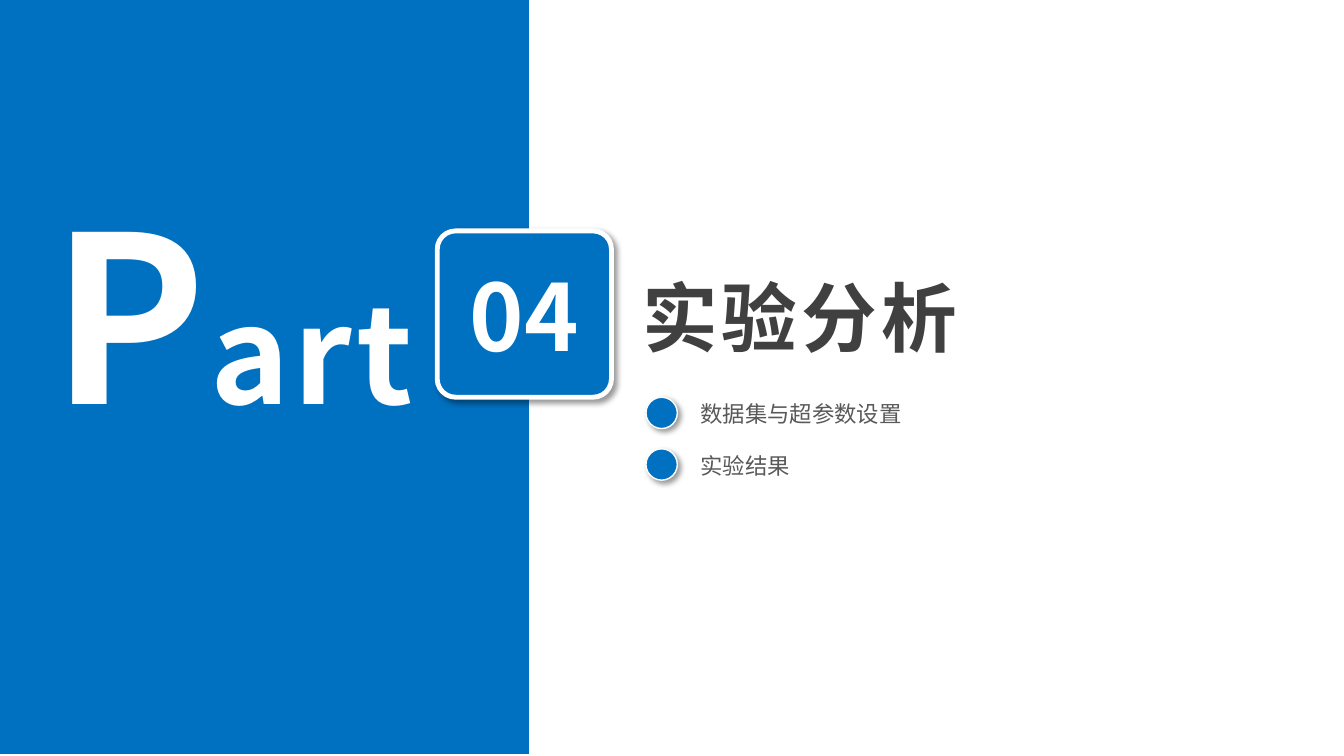
from lxml.etree import SubElement
from pptx import Presentation
from pptx.dml.color import RGBColor
from pptx.enum.shapes import MSO_SHAPE
from pptx.enum.text import MSO_ANCHOR, MSO_AUTO_SIZE, PP_ALIGN
from pptx.oxml import parse_xml
from pptx.oxml.ns import nsdecls, qn
from pptx.util import Cm, Pt

BLUE = RGBColor(0x00, 0x70, 0xC0)
WHITE = RGBColor(0xFF, 0xFF, 0xFF)
DARK = RGBColor(0x40, 0x40, 0x40)
GREY = RGBColor(0x59, 0x59, 0x59)
FONT = "Noto Sans CJK SC"

WORDMARK = {"bold": True, "color": WHITE, "spacing": 300}
NUMBER = {"size": Pt(66), "bold": True, "color": WHITE}
HEADING = {"size": Pt(54), "bold": True, "color": DARK, "spacing": 300}
TOPIC = {"size": Pt(16), "bold": False, "color": GREY}

FRAME = {
    "word_wrap": True,
    "auto_size": MSO_AUTO_SIZE.NONE,
    "vertical_anchor": MSO_ANCHOR.MIDDLE,
    "margin_top": 0,
    "margin_bottom": 0,
}


def set_attributes(target, values):
    for name, value in values.items():
        setattr(target, name, value)


def add_span(para, text, look):
    span = para.add_run()
    span.text = text
    values = dict(look, name=FONT)
    span.font.color.rgb = values.pop("color")
    spacing = values.pop("spacing", 0)
    set_attributes(span.font, values)
    properties = span.font._element
    properties.set("spc", str(spacing))
    SubElement(properties, qn("a:ea")).set("typeface", FONT)


def place(shape, left, top, width, height):
    set_attributes(shape, {"left": left, "top": top, "width": width, "height": height})


def add_blue_shape(page, kind, left, top, width, height, outline=None):
    shape = page.shapes.add_shape(kind, left, top, width, height)
    shape.fill.solid()
    shape.fill.fore_color.rgb = BLUE
    shape.shadow.inherit = False
    if outline is None:
        shape.line.fill.background()
        return shape
    shape.line.color.rgb = WHITE
    shape.line.width = outline
    effects = shape._element.spPr.find(qn("a:effectLst"))
    effects.append(parse_xml(
        f'<a:outerShdw {nsdecls("a")} blurRad="{Pt(4)}" dist="{Pt(3)}" '
        'dir="2700000" algn="tl" rotWithShape="0">'
        '<a:srgbClr val="000000"><a:alpha val="40000"/></a:srgbClr></a:outerShdw>'
    ))
    return shape


def add_panel(page, left, top, width, height):
    add_blue_shape(page, MSO_SHAPE.RECTANGLE, left, top, width, height)
    wordmark = page.shapes.add_textbox(left, top + Cm(4.17), Cm(11.7), Cm(7.34))
    set_attributes(wordmark.text_frame, FRAME)
    para = wordmark.text_frame.paragraphs[0]
    para.alignment = PP_ALIGN.CENTER
    for text, size in (("P", Pt(166)), ("art", Pt(96))):
        add_span(para, text, dict(WORDMARK, size=size))


def add_badge(page, left, top, width, height):
    badge = add_blue_shape(
        page, MSO_SHAPE.ROUNDED_RECTANGLE, left, top, width, height, Pt(3.5)
    )
    badge.adjustments[0] = 0.11
    set_attributes(badge.text_frame, dict(FRAME, margin_left=0, margin_right=0))
    para = badge.text_frame.paragraphs[0]
    para.alignment = PP_ALIGN.CENTER
    add_span(para, "04", NUMBER)


def add_heading(page, left, top, width, height):
    title = page.shapes.title
    place(title, left, top, width, height)
    set_attributes(title.text_frame, FRAME)
    para = title.text_frame.paragraphs[0]
    para.alignment = PP_ALIGN.LEFT
    add_span(para, "实验分析", HEADING)


def add_topics(page, topics, left, top, width, pitch):
    body = page.placeholders[1]
    indent, dot = Cm(1.12), Cm(0.79)
    place(body, left + indent, top, width - indent, pitch * len(topics))
    frame = body.text_frame
    set_attributes(frame, dict(FRAME, vertical_anchor=MSO_ANCHOR.TOP))
    for index, topic in enumerate(topics):
        para = frame.add_paragraph() if index else frame.paragraphs[0]
        properties = para._p.get_or_add_pPr()
        set_attributes(para, {
            "alignment": PP_ALIGN.LEFT,
            "line_spacing": Pt(pitch.pt),
            "space_before": Pt(0),
            "space_after": Pt(0),
        })
        properties.set("marL", "0")
        properties.set("indent", "0")
        SubElement(properties, qn("a:buNone"))
        add_span(para, topic, TOPIC)
        dot_top = top + Cm(0.54) + index * pitch
        add_blue_shape(page, MSO_SHAPE.OVAL, left, dot_top, dot, dot, Pt(1))


def build_section_page(deck):
    page = deck.slides.add_slide(deck.slide_layouts[1])
    add_panel(page, 0, 0, Cm(13.33), Cm(19))
    add_badge(page, Cm(11.02), Cm(5.82), Cm(4.39), Cm(4.19))
    add_heading(page, Cm(15.93), Cm(6.46), Cm(13.92), Cm(3))
    topics = ["数据集与超参数设置", "实验结果"]
    add_topics(page, topics, Cm(16.28), Cm(9.47), Cm(8.06), Cm(1.3))


def main():
    deck = Presentation()
    set_attributes(deck, {"slide_width": Cm(33.87), "slide_height": Cm(19.05)})
    build_section_page(deck)
    deck.save("out.pptx")


if __name__ == "__main__":
    main()
